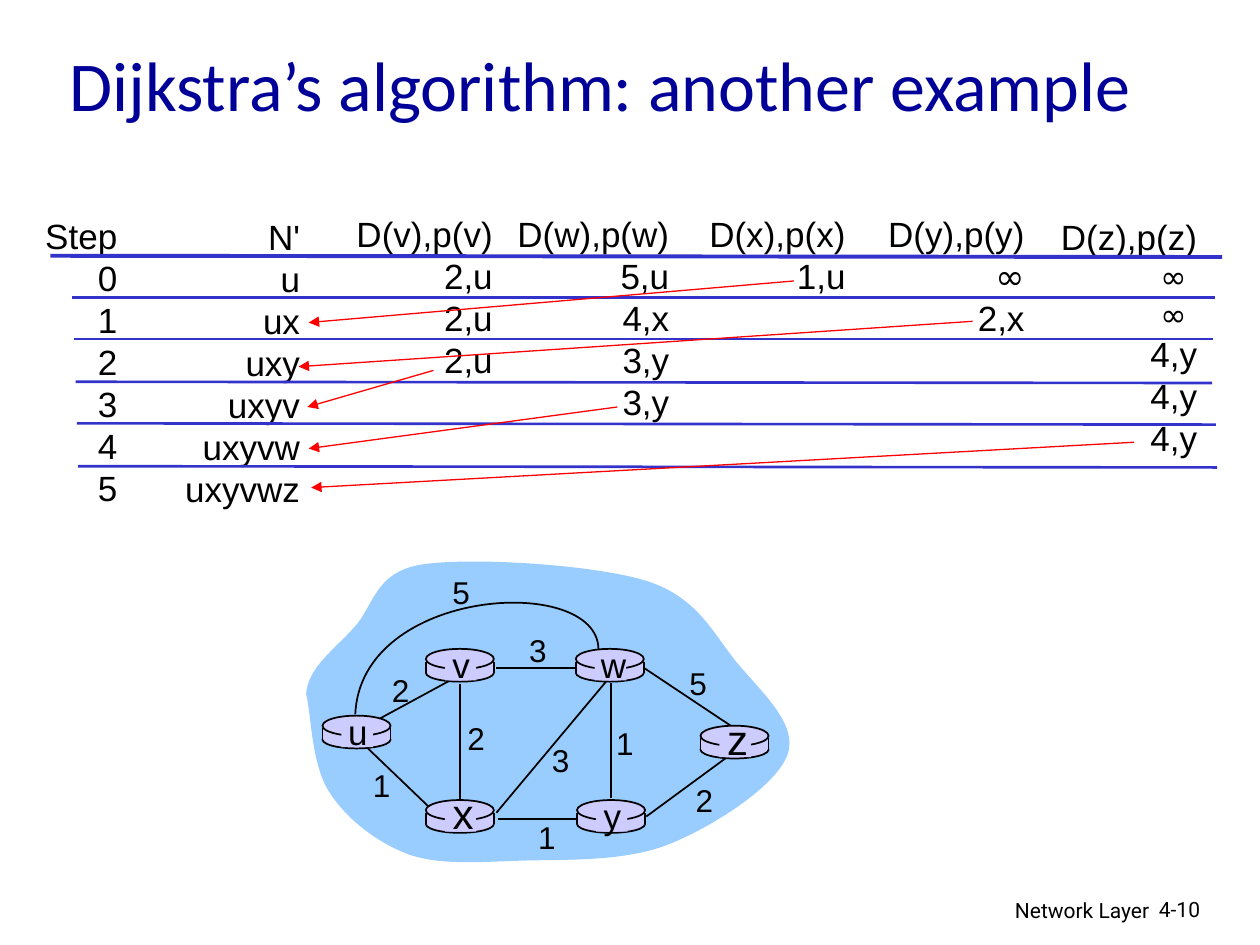
from lxml.etree import SubElement
from pptx import Presentation
from pptx.dml.color import RGBColor
from pptx.enum.shapes import MSO_CONNECTOR, MSO_SHAPE
from pptx.enum.text import MSO_ANCHOR, MSO_AUTO_SIZE, PP_ALIGN
from pptx.oxml.ns import qn
from pptx.util import Pt

PX = 9144  # 100 px to the inch
BLACK, NAVY, BLUE, RED = "000000", "000099", "3333CC", "FF0000"
SKY, LILAC = "99CCFF", "CCCCFF"
color = RGBColor.from_string


def add_text(shapes, bounds, lines, align, wrap=False):
    """Add a text box; each line is (text, size, font)."""
    box = shapes.add_textbox(*[value * PX for value in bounds])
    frame = box.text_frame
    frame.word_wrap = wrap
    if not wrap:
        frame.auto_size = MSO_AUTO_SIZE.SHAPE_TO_FIT_TEXT
    for index, (text, size, font) in enumerate(lines):
        para = frame.add_paragraph() if index else frame.paragraphs[0]
        para.alignment = align
        span = para.add_run()
        span.text = text
        span.font.size = Pt(size)
        span.font.name = font
        span.font.color.rgb = color(BLACK)


def add_line(shapes, ends, hue, width, arrow=False):
    line = shapes.add_connector(MSO_CONNECTOR.STRAIGHT, *[value * PX for value in ends])
    line.line.color.rgb = color(hue)
    line.line.width = Pt(width)
    properties = line._element.spPr
    if arrow:
        SubElement(properties.find(qn("a:ln")), qn("a:tailEnd"), type="triangle")
    SubElement(properties, qn("a:effectLst"))


deck = Presentation()
deck.slide_width, deck.slide_height = 1000 * PX, 750 * PX
page = deck.slides.add_slide(deck.slide_layouts[5])

# Title and footer
title = page.shapes.title
title.left, title.top, title.width, title.height = 45 * PX, 14 * PX, 915 * PX, 105 * PX
title.text_frame.vertical_anchor = MSO_ANCHOR.MIDDLE
title.text_frame.auto_size = MSO_AUTO_SIZE.NONE
para = title.text_frame.paragraphs[0]
para.alignment = PP_ALIGN.LEFT
span = para.add_run()
span.text = "Dijkstra’s algorithm: another example"
span.font.size = Pt(40)
span.font.name = "Calibri"
span.font.color.rgb = color(NAVY)

add_text(page.shapes, (605, 707, 317, 31), [("Network Layer", 12, "Roboto")],
         PP_ALIGN.RIGHT, wrap=True)
add_text(page.shapes, (910, 707, 74, 30), [("4-10", 12, "Roboto")], PP_ALIGN.LEFT, wrap=True)

# Step columns
columns = [
    ((26, 165, 77, 243), ["Step", "0", "1", "2", "3", "4", "5"]),
    ((137, 166, 111, 243), ["N'", "u", "ux", "uxy", "uxyv", "uxyvw", "uxyvwz"]),
    ((273, 164, 128, 143), ["D(v),p(v)", "2,u", "2,u", "2,u"]),
    ((399, 164, 142, 177), ["D(w),p(w)", "5,u", "4,x", "3,y", "3,y"]),
    ((553, 164, 128, 77), ["D(x),p(x)", "1,u"]),
    ((695, 164, 128, 110), ["D(y),p(y)", "∞", "2,x"]),
    ((832, 166, 128, 203), ["D(z),p(z)", "∞ ", "∞ ", "4,y", "4,y", "4,y"]),
]
for bounds, texts in columns:
    lines = []
    for text in texts:
        font = "Comic Neue" if "∞" in text else "Arial"
        lines.append((text, 18 if text == "∞ " else 20, font))
    add_text(page.shapes, bounds, lines, PP_ALIGN.RIGHT)

add_line(page.shapes, (40, 203, 970, 204), BLUE, 2.25)
for ends in [(57, 236, 964, 236), (59, 269, 963, 269), (60, 303, 962, 304),
             (61, 336, 965, 337), (62, 370, 966, 371)]:
    add_line(page.shapes, ends, BLUE, 1.5)

# Network: cloud and curved link, each a start point and then three points per Bézier segment
network = page.shapes.add_group_shape().shapes
cloud = [(243, 551),
         (244, 530), (266, 515), (281, 498), (297, 481), (297, 454), (335, 448),
         (374, 442), (471, 448), (513, 461), (554, 474), (566, 503), (585, 526),
         (604, 549), (634, 575), (625, 599), (616, 624), (566, 656), (531, 670),
         (496, 684), (450, 682), (416, 683), (381, 684), (350, 687), (324, 678),
         (298, 668), (274, 649), (261, 628), (247, 606), (247, 566), (243, 551)]
link_uw = [(475, 515), (474, 455), (286, 466), (282, 567)]
for curve, closed in [(cloud, True), (link_uw, False)]:
    builder = network.build_freeform(*curve[0], scale=PX)
    builder.add_line_segments(curve[1:], close=closed)
    outline = builder.convert_to_shape()
    steps = list(outline._element.iter(qn("a:lnTo")))
    for first, second, third in zip(steps[::3], steps[1::3], steps[2::3]):
        first.tag = qn("a:cubicBezTo")
        for step in (second, third):
            first.append(step[0])
            step.getparent().remove(step)
    outline.shadow.inherit = False
    if closed:
        outline.fill.solid()
        outline.fill.fore_color.rgb = color(SKY)
        outline.line.fill.background()
    else:
        outline.fill.background()
        outline.line.color.rgb = color(BLACK)
        outline.line.width = Pt(1)

for ends in [(302, 570, 361, 538), (485, 542, 485, 633), (365, 543, 365, 636),
             (394, 645, 481, 541), (513, 648, 577, 601), (458, 650, 395, 650),
             (340, 640, 292, 594), (457, 530, 394, 530), (580, 576, 511, 530)]:
    add_line(network, ends, BLACK, 1)

# Routers
routers = [("u", 256, 568, 20), ("x", 338, 635, 24), ("v", 338, 515, 20),
           ("w", 457, 515, 20), ("y", 458, 635, 20), ("z", 556, 576, 24)]
for name, left, top, size in routers:
    parts = [(MSO_SHAPE.OVAL, 0, 12, 54, 14, True),
             (MSO_SHAPE.RECTANGLE, 0, 10, 54, 9, False),
             (MSO_SHAPE.OVAL, 0, 0, 54, 16, True),
             (MSO_SHAPE.RECTANGLE, 15, 2, 25, 23, False)]
    for kind, dx, dy, width, height, outlined in parts:
        part = network.add_shape(kind, (left + dx) * PX, (top + dy) * PX,
                                 width * PX, height * PX)
        part.shadow.inherit = False
        part.fill.solid()
        part.fill.fore_color.rgb = color(LILAC)
        if outlined:
            part.line.color.rgb = color(BLACK)
            part.line.width = Pt(1)
        else:
            part.line.fill.background()
    for side in (left, left + 54):
        add_line(network, (side, top + 10, side, top + 19), BLACK, 1)
    dx, dy, width, height = (10, -9, 36, 43) if size == 20 else (11, -15, 37, 50)
    add_text(network, (left + dx, top + dy, width, height), [(name, size, "Arial")],
             PP_ALIGN.CENTER)

# Link costs
for cost, left, top in [("2", 301, 528), ("2", 361, 566), ("1", 286, 603), ("3", 428, 583),
                        ("1", 417, 644), ("1", 479, 570), ("2", 542, 615), ("5", 537, 522),
                        ("3", 410, 496), ("5", 349, 450)]:
    add_text(network, (left, top, 34, 40), [(cost, 18, "Arial")], PP_ALIGN.CENTER)

# Chosen minimum leads to the next set N'
for ends in [(630, 223, 245, 256), (772, 255, 237, 291), (344, 294, 244, 323),
             (490, 323, 245, 356), (900, 351, 247, 387)]:
    add_line(page.shapes, ends, RED, 0.75, arrow=True)

deck.save("out.pptx")
